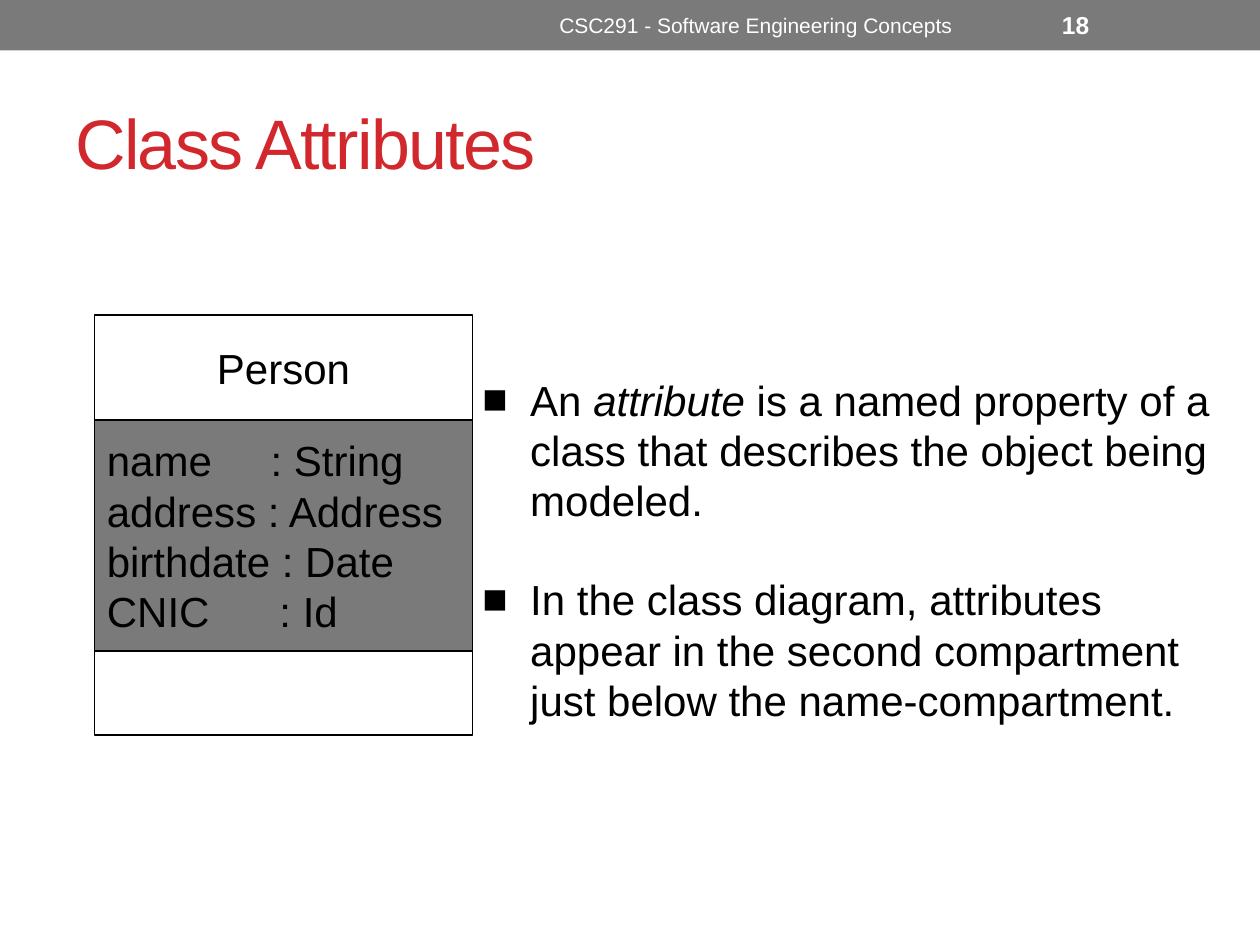
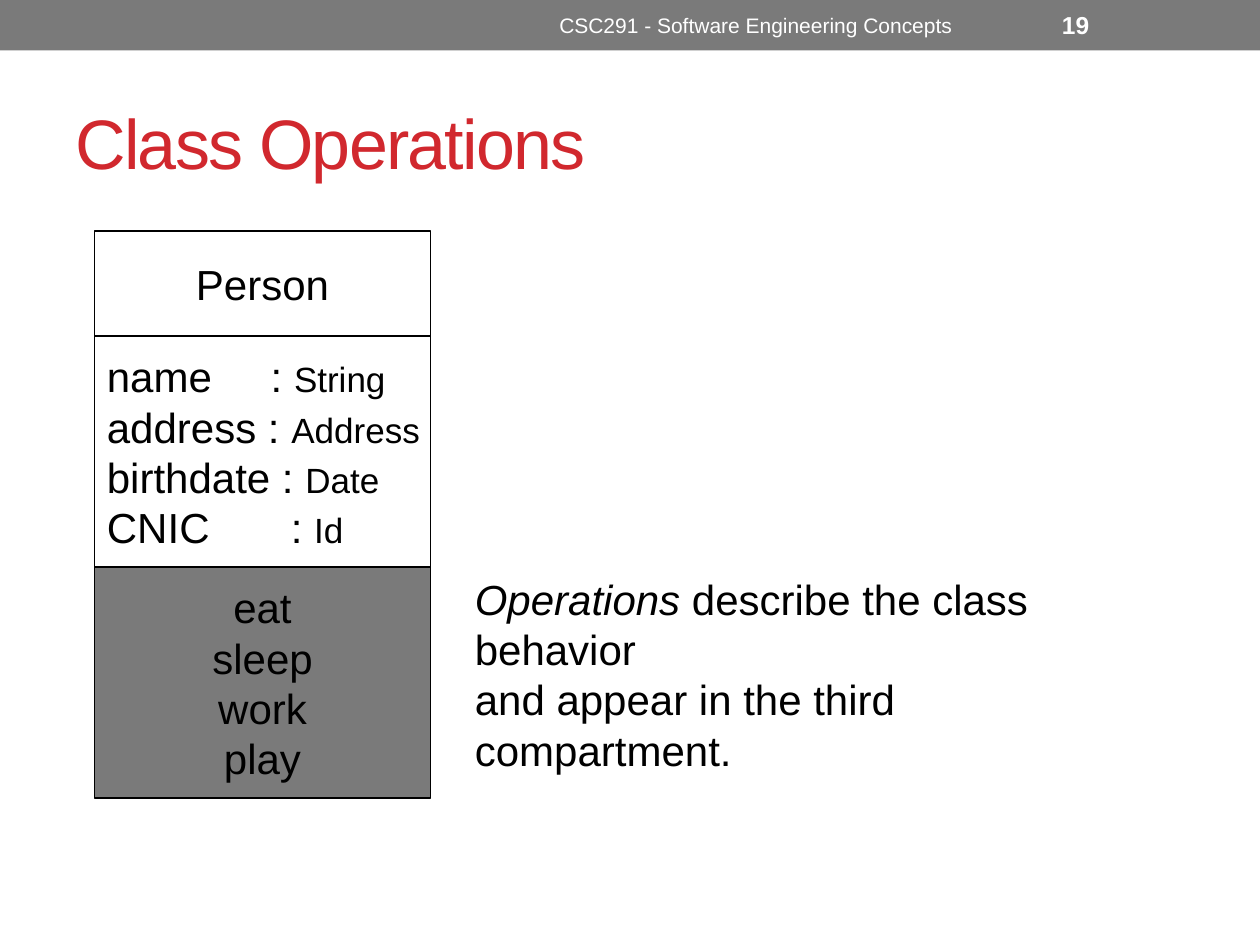
from dataclasses import dataclass

from lxml import etree
from pptx import Presentation
from pptx.dml.color import RGBColor
from pptx.enum import shapes, text
from pptx.oxml import ns
from pptx.util import Inches, Pt


@dataclass(frozen=True)
class Theme:
    """Colours, font and type sizes shared by the slides."""
    font: str = "Arial"
    red: str = "D1282E"
    gray: str = "7A7A7A"
    white: str = "FFFFFF"
    black: str = "000000"
    title: int = 40
    body: int = 24
    small: int = 20
    number: int = 14
    footer: int = 12


T = Theme()
LEFT, MID = text.PP_ALIGN.LEFT, text.PP_ALIGN.CENTER
TOP, CENTER = text.MSO_ANCHOR.TOP, text.MSO_ANCHOR.MIDDLE


def tint(fill, color):
    """Give a fill one solid colour."""
    fill.solid()
    fill.fore_color.rgb = RGBColor.from_string(color)


def mark(para, bullet, tab):
    """Add a hanging bullet or a tab stop to a paragraph."""
    props = para._p.get_or_add_pPr()
    if bullet:
        props.set("marL", str(Inches(0.38)))
        props.set("indent", str(-Inches(0.38)))
        etree.SubElement(props, ns.qn("a:buFont"), typeface=T.font)
        etree.SubElement(props, ns.qn("a:buChar"), char=bullet)
    if tab:
        stops = etree.SubElement(props, ns.qn("a:tabLst"))
        etree.SubElement(stops, ns.qn("a:tab"), pos=str(Inches(tab)), algn="l")


def write(frame, paras, size=T.body, color=T.black, bold=False, align=LEFT,
          anchor=TOP, track=0, bullet=None, tabs=(), gap=0, right=0.1):
    """Fill a frame with paragraphs, each a list of (text, format) runs."""
    frame.word_wrap = True
    frame.vertical_anchor = anchor
    frame.margin_right = Inches(right)
    for i, runs in enumerate(paras):
        para = frame.add_paragraph() if i else frame.paragraphs[0]
        mark(para, bullet, tabs[i] if tabs else None)
        para.alignment = align
        if i and gap:
            para.space_before = Pt(gap)
        for words, look in runs:
            run = para.add_run()
            run.text = words
            font = run.font
            font.name, font.bold = T.font, bold
            font.size = Pt(look.get("size", size))
            font.italic = look.get("italic", False)
            font.color.rgb = RGBColor.from_string(color)
            if track:
                run._r.get_or_add_rPr().set("spc", str(track * 100))


def plain(*lines):
    """Turn lines into paragraphs of one run each."""
    return [[(line, {})] for line in lines]


def label(slide, box, paras, **look):
    """Place a text box."""
    shape = slide.shapes.add_textbox(*map(Inches, box))
    write(shape.text_frame, paras, **look)


def block(parent, box, fill, line=None):
    """Place a flat rectangle."""
    shape = parent.add_shape(shapes.MSO_SHAPE.RECTANGLE, *map(Inches, box))
    shape.shadow.inherit = False
    tint(shape.fill, fill)
    if line:
        tint(shape.line.fill, line)
        shape.line.width = Pt(0.75)
    else:
        shape.line.fill.background()
    return shape


def start(deck, title, number):
    """Add a slide with its band, footer, number and title."""
    slide = deck.slides.add_slide(deck.slide_layouts[6])
    block(slide.shapes, (0, 0, 10, 0.4), T.gray)
    label(slide, (0.5, 0.58, 9, 1.08), plain(title), size=T.title,
          color=T.red, anchor=CENTER, track=-1)
    label(slide, (3.75, 0.02, 4.5, 0.36),
          plain("CSC291 - Software Engineering Concepts"),
          size=T.footer, color=T.white, align=MID, anchor=CENTER)
    label(slide, (8.33, 0.02, 1.17, 0.36), plain(str(number)),
          size=T.number, color=T.white, bold=True, anchor=CENTER)
    return slide


def fields(size, last):
    """Give the attribute rows and the tab stops of their colons."""
    pairs = [("name\t: ", "String"), ("address : ", "Address"),
             ("birthdate : ", "Date"), ("CNIC\t: ", "Id")]
    rows = [[(name, {}), (kind, {"size": size})] for name, kind in pairs]
    return rows, dict(tabs=(1.3, None, None, last), right=0)


def diagram(slide, left, top, width, parts):
    """Stack class compartments of (height, fill, paragraphs, format)."""
    group = slide.shapes.add_group_shape()
    for high, fill, paras, look in parts:
        cell = block(group.shapes, (left, top, width, high), fill, T.black)
        write(cell.text_frame, paras, anchor=CENTER, **look)
        top += high


def attributes(deck):
    """Build the slide on class attributes."""
    slide = start(deck, "Class Attributes", 18)
    rows, look = fields(T.body, 1.37)
    diagram(slide, 0.75, 2.5, 3, [
        (5 / 6, T.white, plain("Person"), dict(align=MID)),
        (11 / 6, T.gray, rows, look),
        (2 / 3, T.white, [], {})])
    label(slide, (3.73, 2.92, 6.02, 2.93), [
        [("An ", {}), ("attribute", dict(italic=True)),
         (" is a named property of a class that describes the object "
          "being modeled.", {})],
        [("In the class diagram, attributes appear in the second "
          "compartment just below the name-compartment.", {})]],
        bullet="■", gap=27.6)


def operations(deck):
    """Build the slide on class operations."""
    slide = start(deck, "Class Operations", 19)
    rows, look = fields(T.small, 1.46)
    diagram(slide, 0.75, 11 / 6, 8 / 3, [
        (5 / 6, T.white, plain("Person"), dict(align=MID)),
        (11 / 6, T.white, rows, look),
        (11 / 6, T.gray, plain("eat", "sleep", "work", "play"),
         dict(align=MID))])
    label(slide, (3.67, 4.5, 5.45, 1.7), [
        [("Operations ", dict(italic=True)),
         ("describe the class behavior", {})],
        [("and appear in the third compartment.", {})]])


def main():
    """Build and save the slides."""
    deck = Presentation()
    deck.slide_width, deck.slide_height = Inches(10), Inches(7.5)
    attributes(deck)
    operations(deck)
    deck.save("out.pptx")


if __name__ == "__main__":
    main()
